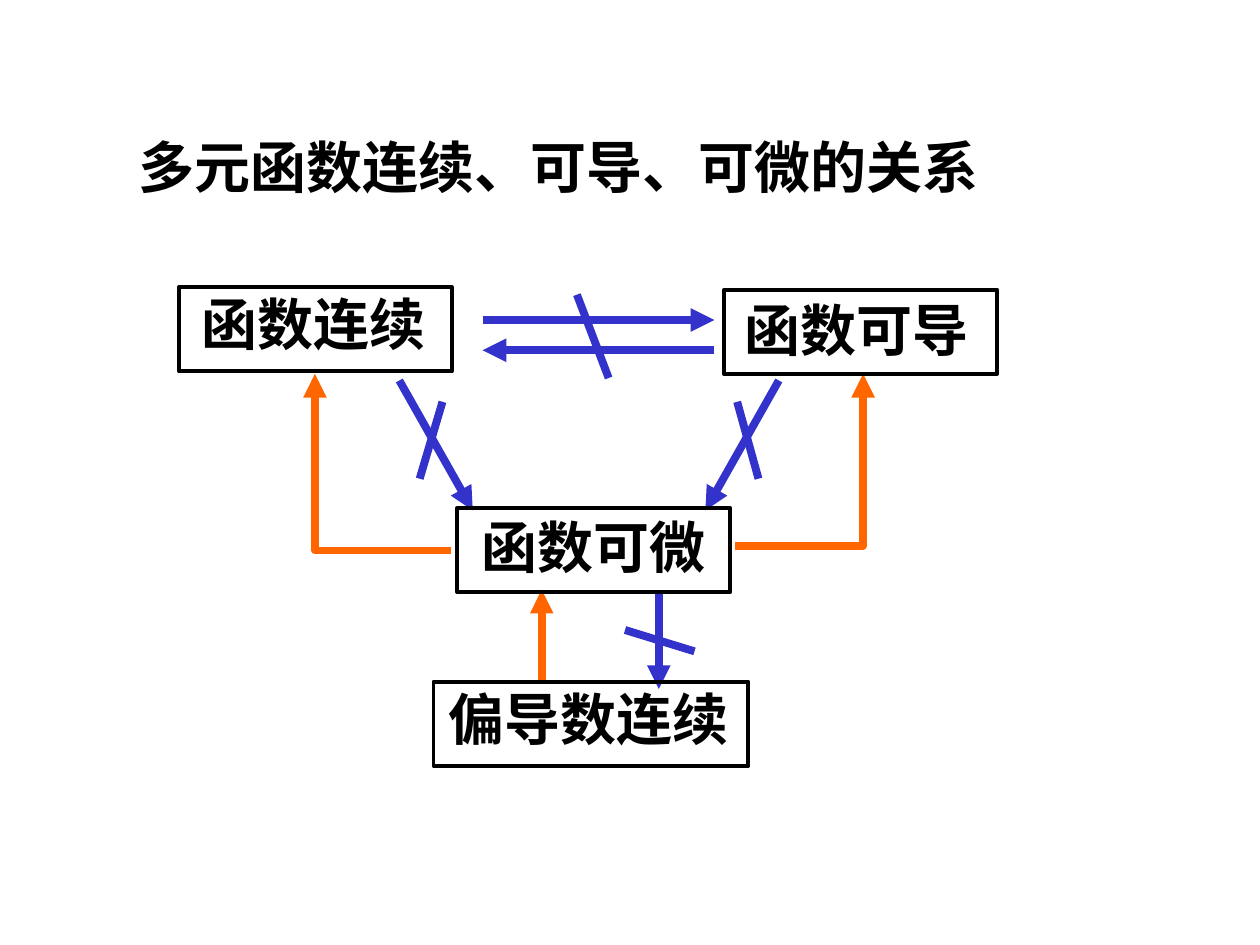
from pptx import Presentation
from pptx.dml.color import RGBColor
from pptx.enum.shapes import MSO_CONNECTOR as Link, MSO_SHAPE as Shape
from pptx.oxml.ns import qn
from pptx.util import Cm, Pt
from lxml.etree import SubElement

BLUE, ORANGE, BLACK = "3333CC", "FF6600", "000000"
FONT = "Times New Roman"
TEXT_HEIGHT = 1.63
FRAME_HEIGHT = 1.7

TITLE = ("多元函数连续、可导、可微的关系", 2.54, 2.54, 20.75)
LABELS = [
    ("函数可微", 9.45, 10.21, 6.4),
    ("函数连续", 3.81, 5.72, 6.76),
    ("偏导数连续", 8.79, 13.67, 6.86),
    ("函数可导", 14.76, 5.84, 6.4),
]
FRAMES = [
    (3.61, 5.79, 5.5),
    (14.6, 5.84, 5.5),
    (9.22, 10.24, 5.5),
    (8.74, 13.74, 6.35),
]
NOT_IMPLIED = [
    (8.05, 7.67, 9.53, 10.29),
    (9.73, 6.45, 14.4, 6.45),
    (14.4, 7.06, 9.73, 7.06),
    (13.28, 11.94, 13.28, 13.89),
    (15.7, 7.67, 14.22, 10.29),
]
STRIKES = [
    (8.92, 8.1, 8.46, 9.65),
    (11.63, 5.94, 12.27, 7.62),
    (12.6, 12.7, 14, 13.13),
    (14.86, 8.1, 15.29, 9.65),
]
IMPLIED = [(10.92, 13.79, 10.92, 11.89)]
IMPLIED_BENT = [
    (14.81, 11, 17.4, 7.54),
    (9.09, 11.1, 6.35, 7.54),
]


def color(value):
    return RGBColor.from_string(value)


def add_line(slide, ends, stroke, arrow=True, bent=False):
    kind = Link.ELBOW if bent else Link.STRAIGHT
    link = slide.shapes.add_connector(kind, *map(Cm, ends))
    link.line.color.rgb = color(stroke)
    link.line.width = Pt(4.5)
    properties = link._element.spPr
    if bent:
        properties.find(qn("a:prstGeom")).set("prst", "bentConnector2")
    if arrow:
        SubElement(properties.find(qn("a:ln")), qn("a:tailEnd"), type="triangle")
    SubElement(properties, qn("a:effectLst"))


def add_label(slide, text, left, top, width):
    label = slide.shapes.add_textbox(*map(Cm, (left, top, width, TEXT_HEIGHT)))
    label.text_frame.word_wrap = True
    paragraph = label.text_frame.paragraphs[0]
    paragraph.text = text
    paragraph.font.name = FONT
    paragraph.font.size = Pt(32)
    paragraph.font.bold = True
    paragraph.font.color.rgb = color(BLACK)


def add_frame(slide, left, top, width):
    frame = slide.shapes.add_shape(
        Shape.RECTANGLE, *map(Cm, (left, top, width, FRAME_HEIGHT)))
    frame.shadow.inherit = False
    frame.fill.background()
    frame.line.color.rgb = color(BLACK)
    frame.line.width = Pt(2.25)


def main():
    deck = Presentation()
    deck.slide_width, deck.slide_height = Cm(25.4), Cm(19.05)
    slide = deck.slides.add_slide(deck.slide_layouts[6])
    for ends in NOT_IMPLIED:
        add_line(slide, ends, BLUE)
    for ends in STRIKES:
        add_line(slide, ends, BLUE, arrow=False)
    for ends in IMPLIED:
        add_line(slide, ends, ORANGE)
    for ends in IMPLIED_BENT:
        add_line(slide, ends, ORANGE, bent=True)
    for label in [TITLE, *LABELS]:
        add_label(slide, *label)
    for frame in FRAMES:
        add_frame(slide, *frame)
    deck.save("out.pptx")


if __name__ == "__main__":
    main()
